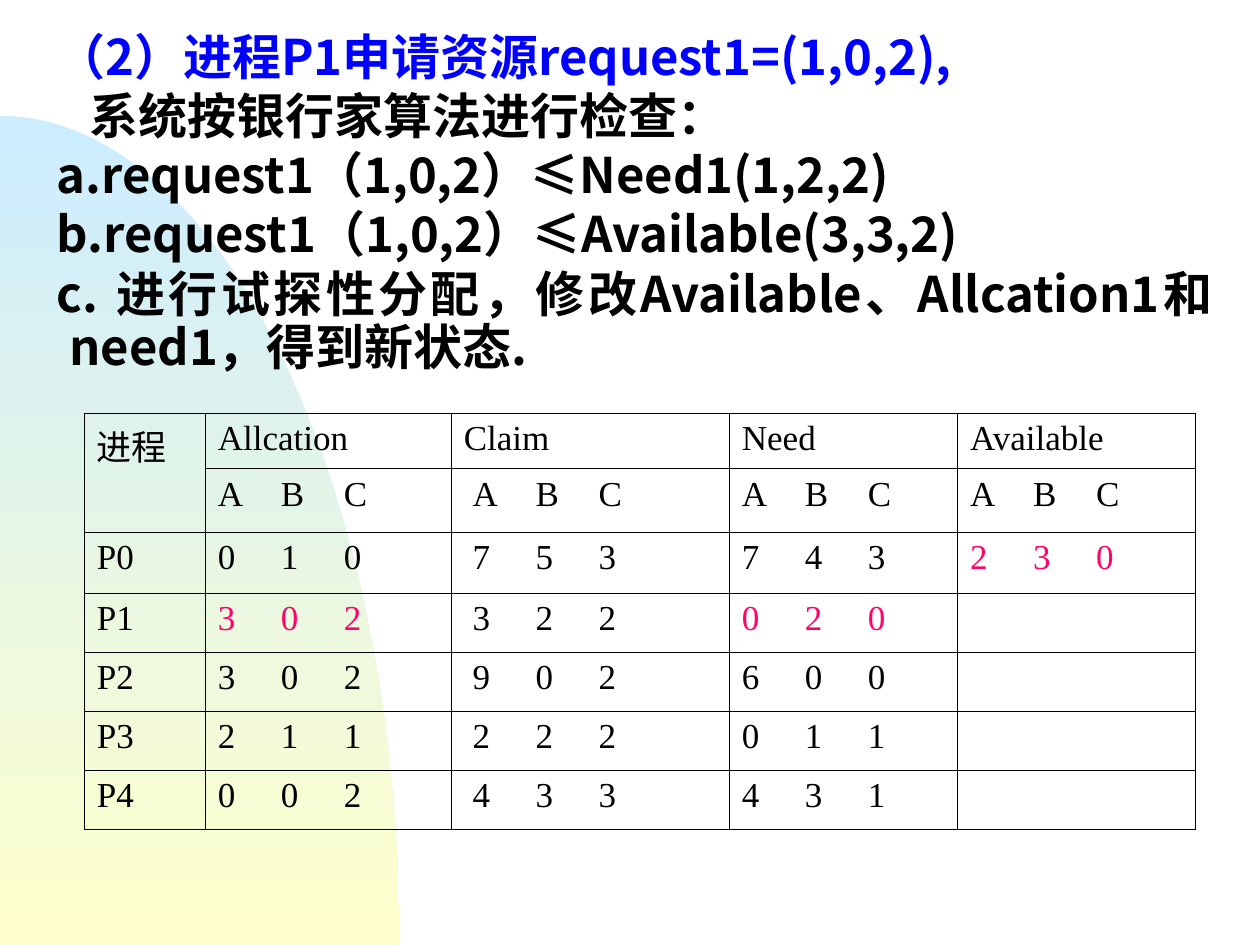
from math import cos, pi, sin

from lxml.etree import SubElement
from pptx import Presentation
from pptx.dml.color import RGBColor
from pptx.enum.text import MSO_AUTO_SIZE as AutoSize, PP_ALIGN as Align
from pptx.oxml.ns import qn
from pptx.util import Pt

INK, BLUE, PINK = "010000", "0000FF", "FF0369"
SANS, SERIF = "Noto Sans CJK SC", "Times New Roman"

STEPS = [
    # text, colour, left margin, first-line indent, space before
    ("（2）进程P1申请资源request1=(1,0,2),", BLUE, 7.2, -7.2, 0),
    ("系统按银行家算法进行检查：", INK, 19, 0, 3.5),
    ("a.request1（1,0,2）≤Need1(1,2,2)", INK, 7.2, -7.2, 3.5),
    ("b.request1（1,0,2）≤Available(3,3,2)", INK, 7.2, -7.2, 3.5),
    ("c. 进行试探性分配，修改Available、Allcation1和need1，得到新状态.",
     INK, 7.2, -7.2, 4),
]
GROUPS = ["Allcation", "Claim", "Need", "Available"]
STATE = {
    "P0": ["010", "753", "743", "230"],
    "P1": ["302", "322", "020"],
    "P2": ["302", "902", "600"],
    "P3": ["211", "222", "011"],
    "P4": ["002", "433", "431"],
}
CHANGED = {("P0", "Available"), ("P1", "Allcation"), ("P1", "Need")}
COLUMNS = [69.1, 140.6, 158.9, 130.4, 136]
ROWS = [31.5, 36, 35] + [33.7] * 4
MARGINS = {"Claim": 5}
LETTER_STOPS = {"Allcation": (34, 67), "Claim": (32, 60),
                "Need": (28, 56), "Available": (28, 56)}
DIGIT_STOPS = {"Allcation": (35, 70), "Claim": (37, 70),
               "Need": (35, 70), "Available": (30, 60)}


def color(value):
    return RGBColor.from_string(value)


def write(para, text, *, size, font, ink=INK, bold=False, margin=0, indent=0,
          stops=()):
    """Fill a paragraph with one formatted run, indents and left tab stops."""
    props = para._p.get_or_add_pPr()
    props.set("marL", str(Pt(margin)))
    props.set("indent", str(Pt(indent)))
    SubElement(props, qn("a:buNone"))
    if stops:
        tabs = SubElement(props, qn("a:tabLst"))
        for stop in stops:
            SubElement(tabs, qn("a:tab"), pos=str(Pt(stop)), algn="l")
    span = para.add_run()
    span.text = text
    span.font.name, span.font.size = font, Pt(size)
    span.font.bold = bold
    span.font.color.rgb = color(ink)
    SubElement(span._r.get_or_add_rPr(), qn("a:ea"), typeface=SANS)


def add_quarter_ellipse(page, left, top, width, height):
    steps = 90
    points = [(Pt(left + width * sin(i * pi / 2 / steps)),
               Pt(top + height * (1 - cos(i * pi / 2 / steps))))
              for i in range(steps + 1)]
    builder = page.shapes.build_freeform(*points[0])
    builder.add_line_segments(points[1:] + [(Pt(left), Pt(top + height))], close=True)
    curve = builder.convert_to_shape()
    curve.shadow.inherit = False
    curve.line.fill.background()
    curve.fill.gradient()
    curve.fill.gradient_angle = 270
    for stop, tint in zip(curve.fill.gradient_stops, ("CCECFF", "FFFFCC")):
        stop.color.rgb = color(tint)
    page.shapes._spTree.insert(2, curve._element)


def fill_steps(box, left, top, width, height):
    box.left, box.top, box.width, box.height = map(Pt, (left, top, width, height))
    frame = box.text_frame
    frame.word_wrap = True
    frame.auto_size = AutoSize.NONE
    for i, (text, ink, margin, indent, before) in enumerate(STEPS):
        para = frame.add_paragraph() if i else frame.paragraphs[0]
        para.alignment = Align.JUSTIFY
        para.line_spacing = 0.9
        para.space_before = Pt(before)
        write(para, text, size=28, font=SANS, ink=ink, bold=True,
              margin=margin, indent=indent)


def outline(cell):
    props = cell._tc.get_or_add_tcPr()
    for side in ("lnL", "lnR", "lnT", "lnB"):
        line = SubElement(props, qn(f"a:{side}"), w=str(Pt(0.45)))
        fill = SubElement(line, qn("a:solidFill"))
        SubElement(fill, qn("a:srgbClr"), val="000000")
    cell.fill.background()


def add_state_table(page, left, top):
    table = page.shapes.add_table(
        len(ROWS), len(COLUMNS), Pt(left), Pt(top),
        Pt(sum(COLUMNS)), Pt(sum(ROWS))).table
    table.first_row = table.horz_banding = False
    for column, width in zip(table.columns, COLUMNS):
        column.width = Pt(width)
    for row, height in zip(table.rows, ROWS):
        row.height = Pt(height)
    for cell in table.iter_cells():
        outline(cell)
    table.cell(0, 0).merge(table.cell(1, 0))

    def put(row, column, text, **style):
        para = table.cell(row, column).text_frame.paragraphs[0]
        write(para, text, size=20, font=SERIF, **style)

    put(0, 0, "进程")
    for column, group in enumerate(GROUPS, 1):
        put(0, column, group)
        put(1, column, "\t".join("ABC"), margin=MARGINS.get(group, 0),
            stops=LETTER_STOPS[group])
    for row, (process, values) in enumerate(STATE.items(), 2):
        put(row, 0, process)
        for column, (group, digits) in enumerate(zip(GROUPS, values), 1):
            put(row, column, "\t".join(digits), margin=MARGINS.get(group, 0),
                stops=DIGIT_STOPS[group],
                ink=PINK if (process, group) in CHANGED else INK)


def main():
    deck = Presentation()
    deck.slide_width, deck.slide_height = Pt(720), Pt(540)
    page = deck.slides.add_slide(deck.slide_layouts[1])
    title = page.shapes.title._element
    title.getparent().remove(title)
    add_quarter_ellipse(page, 0, 66.2, 228.2, 473.8)
    fill_steps(page.placeholders[1], 25.2, 15.1, 674.6, 226.8)
    add_state_table(page, 48.2, 236.2)
    deck.save("out.pptx")


if __name__ == "__main__":
    main()
